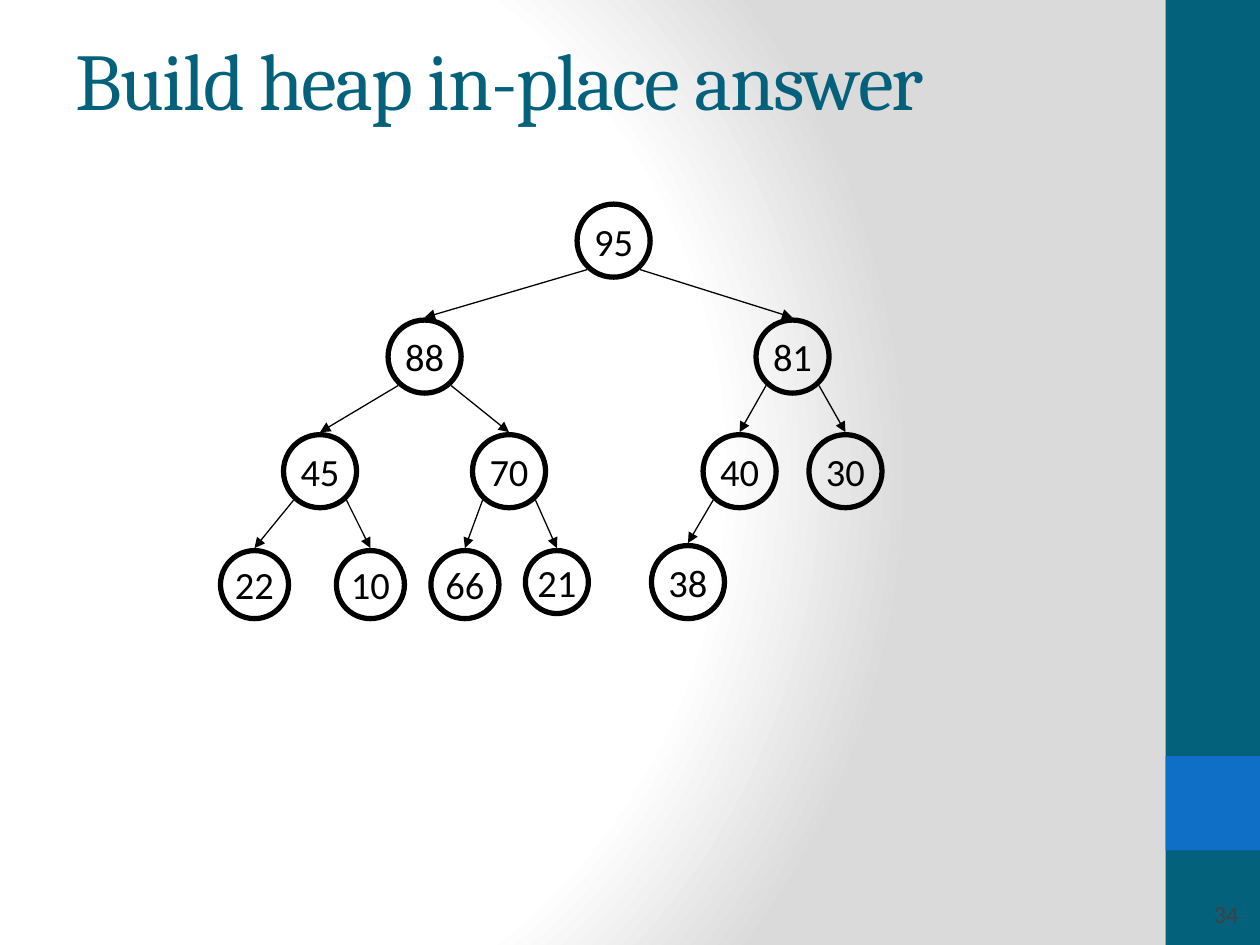
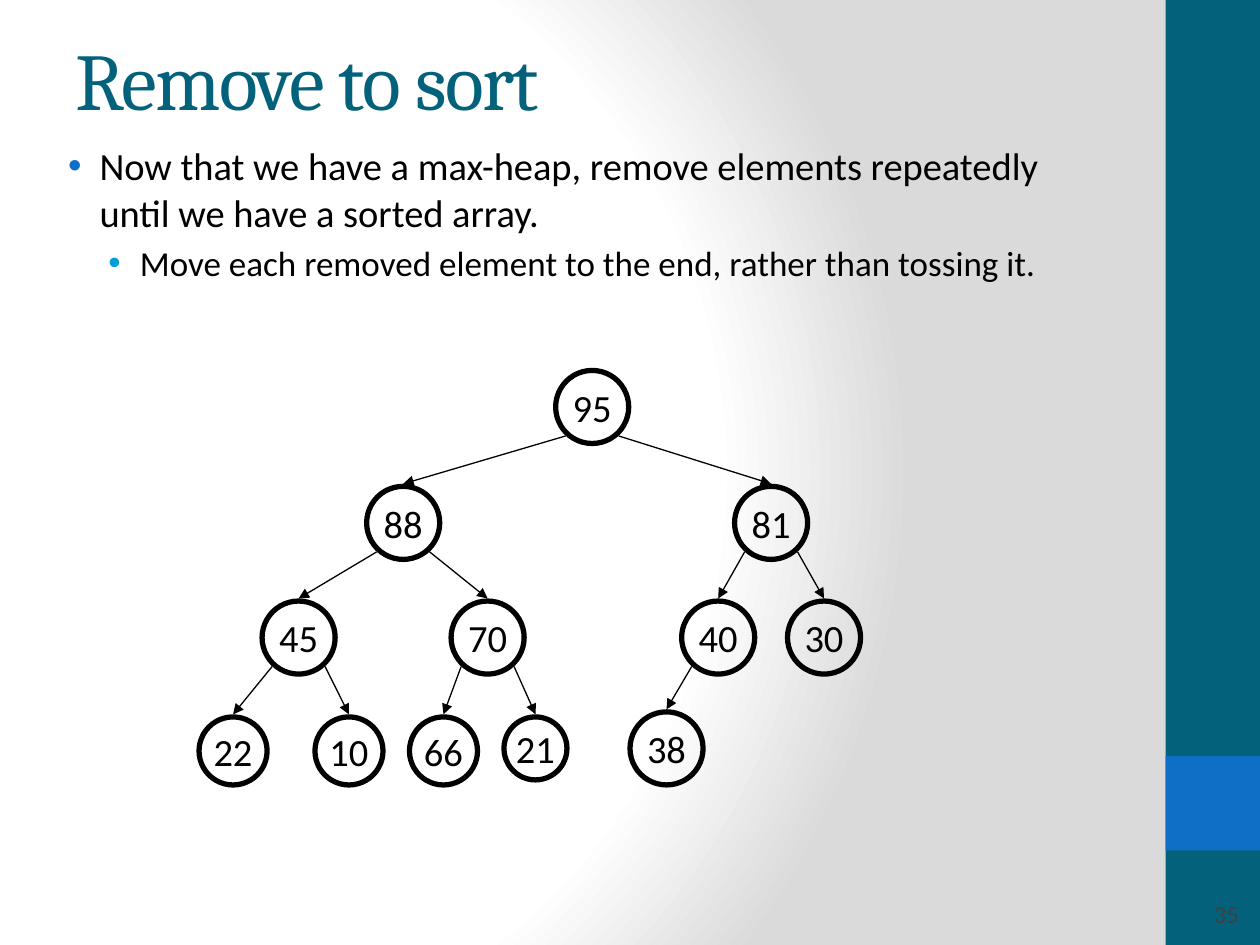
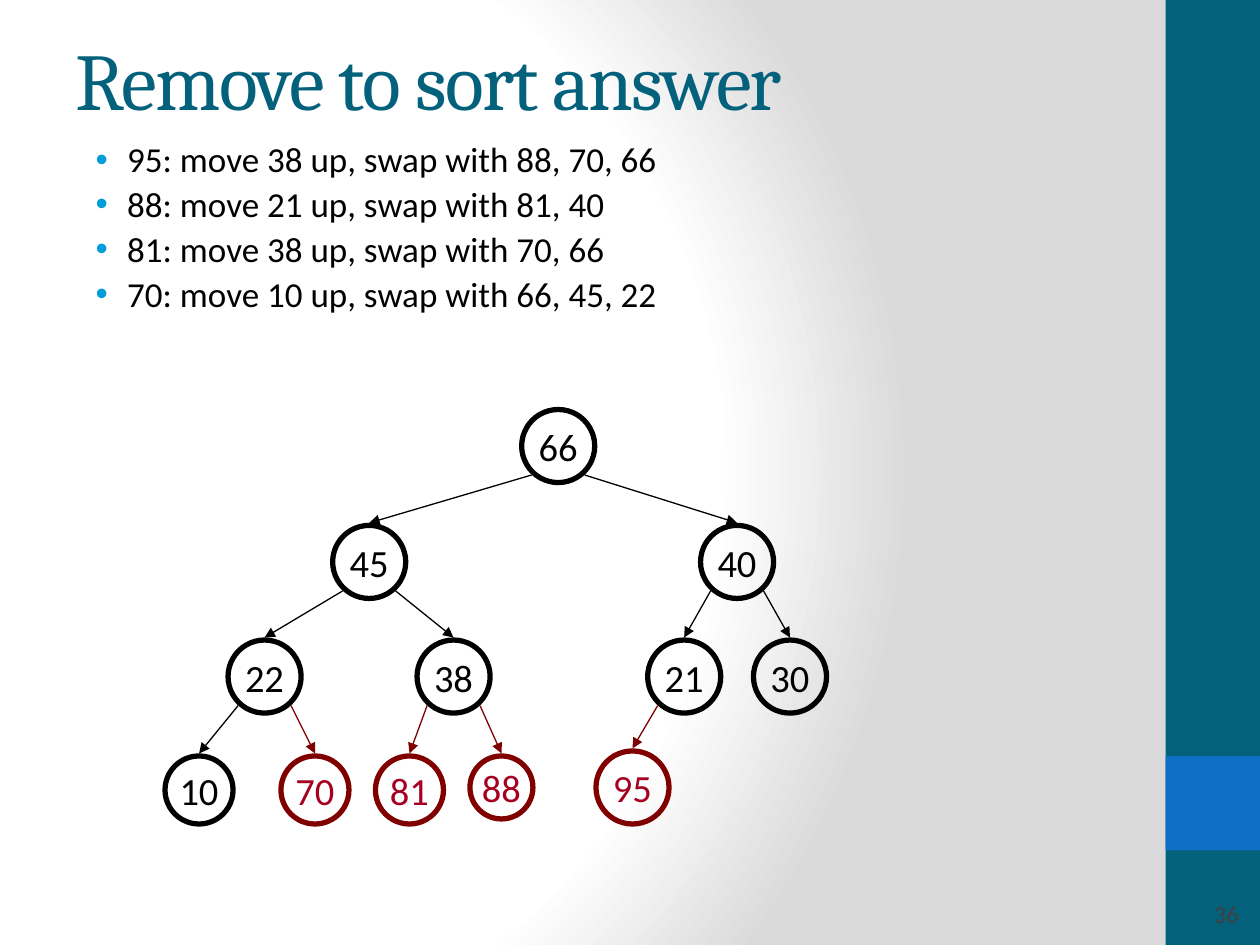
"""Build three heap sort slides, each with a binary max-heap drawn as a tree."""
import pptx
import pptx.dml.color
import pptx.enum.shapes
import pptx.enum.text
import pptx.oxml
import pptx.oxml.ns
import pptx.util

Inches, Pt = pptx.util.Inches, pptx.util.Pt
SHAPE = pptx.enum.shapes.MSO_SHAPE
ANCHOR = pptx.enum.text.MSO_ANCHOR
ALIGN = pptx.enum.text.PP_ALIGN

TEAL, BLUE, CYAN, BLACK, MAROON, RED, GREY = (
    "04617B", "0F6FC6", "009DD9", "000000", "800000", "A50021", "404040")
BANDS = [(0, 7.5, TEAL), (6, 0.75, BLUE)]
STOPS = [(0, "FFFFFF"), (75000, "FFFFFF"), (100000, "DADADA")]
TITLE = dict(name="Cambria", size=Pt(46), bold=False)
NODE = dict(name="Calibri", size=Pt(22))
NUMBER = dict(name="Calibri", size=Pt(14))
LEVELS = [dict(indent=0.38, size=22, bullet=BLUE), dict(indent=0.7, size=20, bullet=CYAN)]

NODE_X = [0, -1.5, 1.42, -2.33, -0.83, 1, 1.84, -2.85, -1.93, -1.18, -0.45, 0.59]
NODE_TOP = [0] + [0.92] * 2 + [1.83] * 4 + [2.75] * 4 + [2.71]
NODE_SIZE = [0.58] * 7 + [0.54] * 3 + [0.5, 0.58]
MAX_HEAP = [95, 88, 81, 45, 70, 40, 30, 22, 10, 66, 21, 38]

SLIDES = [
    dict(number=34, title="Build heap in-place answer", root=(4.87, 1.62),
         heap=MAX_HEAP, removed=0, items=[]),
    dict(number=35, title="Remove to sort", root=(4.7, 2.94),
         heap=MAX_HEAP, removed=0, left=0.31, spacing=1.0, items=[
             (0, "Now that we have a max-heap, remove elements repeatedly "
                 "until we have a sorted array."),
             (1, "Move each removed element to the end, rather than tossing it.")]),
    dict(number=36, title="Remove to sort answer", root=(4.43, 3.25),
         heap=[66, 45, 40, 22, 38, 21, 30, 10, 70, 81, 88, 95], removed=4,
         left=0.21, spacing=0.9, items=[
             (1, "95: move 38 up, swap with 88, 70, 66"),
             (1, "88: move 21 up, swap with 81, 40"),
             (1, "81: move 38 up, swap with 70, 66"),
             (1, "70: move 10 up, swap with 66, 45, 22")]),
]


def rgb(value):
    """Turn a hex string into a colour."""
    return pptx.dml.color.RGBColor.from_string(value)


def add_xml(parent, xml):
    """Append a fragment of drawing XML to an element."""
    head, rest = xml.split(" ", 1)
    parent.append(pptx.oxml.parse_xml(f"{head} {pptx.oxml.ns.nsdecls('a')} {rest}"))


def style(r, color, formats):
    """Apply font values and a colour to a run."""
    for key, value in formats.items():
        setattr(r.font, key, value)
    r.font.color.rgb = rgb(color)


def place(sp, left, top, width, height):
    """Move and size a shape in inches."""
    for key, value in dict(left=left, top=top, width=width, height=height).items():
        setattr(sp, key, Inches(value))


def set_background(master):
    """Give the master its radial gradient."""
    master.background.fill.gradient()
    grad = master.element.find(".//" + pptx.oxml.ns.qn("a:gradFill"))
    for child in list(grad):
        grad.remove(child)
    stops = "".join(f'<a:gs pos="{pos}"><a:srgbClr val="{color}"/></a:gs>'
                    for pos, color in STOPS)
    add_xml(grad, f"<a:gsLst >{stops}</a:gsLst>")
    add_xml(grad, '<a:path path="circle"><a:fillToRect l="20000" t="50000" '
                  'r="100000" b="50000"/></a:path>')


def add_bands(s, master):
    """Draw the side bands and hand them to the master."""
    for i, (top, height, color) in enumerate(BANDS):
        sp = s.shapes.add_shape(SHAPE.RECTANGLE, Inches(9.25), Inches(top),
                                Inches(0.75), Inches(height))
        sp.shadow.inherit = False
        sp.fill.solid()
        sp.fill.fore_color.rgb = rgb(color)
        sp.line.fill.background()
        master.shapes.element.insert(2 + i, sp.element)


def add_title(s, text):
    """Fill the title placeholder."""
    sp = s.shapes.title
    place(sp, 0.5, 0, 8.33, 1.25)
    tf = sp.text_frame
    tf.vertical_anchor = ANCHOR.MIDDLE
    p = tf.paragraphs[0]
    p.alignment = ALIGN.LEFT
    r = p.add_run()
    r.text = text
    style(r, TEAL, TITLE)
    r.font._element.set("spc", "-100")


def add_list(s, items, left, spacing):
    """Fill the body placeholder with bullets."""
    sp = s.placeholders[1]
    place(sp, left, 1.08, 8.33, 5.67)
    tf = sp.text_frame
    for i, (level, text) in enumerate(items):
        p = tf.add_paragraph() if i else tf.paragraphs[0]
        look = LEVELS[level]
        p.level = level
        p.line_spacing = spacing
        ppr = p._p.get_or_add_pPr()
        ppr.set("marL", str(Inches(look["indent"])))
        ppr.set("indent", str(Inches(-0.25)))
        add_xml(ppr, f'<a:buClr ><a:srgbClr val="{look["bullet"]}"/></a:buClr>')
        add_xml(ppr, '<a:buFont typeface="Arial"/>')
        add_xml(ppr, '<a:buChar char="•"/>')
        r = p.add_run()
        r.text = text
        style(r, BLACK, dict(name="Calibri", size=Pt(look["size"])))


def add_node(s, value, x, top, size, line, color):
    """Draw one heap node centred on x."""
    sp = s.shapes.add_shape(SHAPE.OVAL, Inches(x - size / 2), Inches(top),
                            Inches(size), Inches(size))
    sp.shadow.inherit = False
    sp.fill.background()
    sp.line.color.rgb = rgb(line)
    sp.line.width = Pt(3)
    tf = sp.text_frame
    tf.word_wrap = False
    tf.vertical_anchor = ANCHOR.MIDDLE
    p = tf.paragraphs[0]
    p.alignment = ALIGN.CENTER
    r = p.add_run()
    r.text = str(value)
    style(r, color, NODE)


def add_arrow(s, start, end, color):
    """Draw an arrow from a parent node to a child node."""
    line = s.shapes.add_connector(pptx.enum.shapes.MSO_CONNECTOR.STRAIGHT,
                                  *map(Inches, start + end))
    line.line.color.rgb = rgb(color)
    line.line.width = Pt(0.75)
    add_xml(line.line._get_or_add_ln(), '<a:tailEnd type="triangle"/>')
    add_xml(line.element.spPr, "<a:effectLst />")


def add_heap(s, heap, root, removed):
    """Draw the heap array as a tree, the removed tail in red."""
    spots = [(root[0] + dx, root[1] + dy) for dx, dy in zip(NODE_X, NODE_TOP)]
    for i, (value, (x, top), size) in enumerate(zip(heap, spots, NODE_SIZE)):
        line, color = (MAROON, RED) if i >= len(heap) - removed else (BLACK, BLACK)
        add_node(s, value, x, top, size, line, color)
        if i:
            px, ptop = spots[(i - 1) // 2]
            side = -0.21 if i % 2 else 0.21
            add_arrow(s, (px + side, ptop + 0.52), (x, top - 0.02), line)


def add_number(s, number):
    """Write the slide number at the lower right."""
    sp = s.shapes.add_textbox(Inches(9.25), Inches(7.05), Inches(0.68), Inches(0.4))
    tf = sp.text_frame
    tf.word_wrap = True
    tf.vertical_anchor = ANCHOR.MIDDLE
    p = tf.paragraphs[0]
    p.alignment = ALIGN.RIGHT
    r = p.add_run()
    r.text = str(number)
    style(r, GREY, NUMBER)


def main():
    """Build and save the slides."""
    prs = pptx.Presentation()
    prs.slide_width, prs.slide_height = Inches(10), Inches(7.5)
    set_background(prs.slide_master)
    for i, data in enumerate(SLIDES):
        s = prs.slides.add_slide(prs.slide_layouts[1 if data["items"] else 5])
        if i == 0:
            add_bands(s, prs.slide_master)
        add_title(s, data["title"])
        if data["items"]:
            add_list(s, data["items"], data["left"], data["spacing"])
        add_heap(s, data["heap"], data["root"], data["removed"])
        add_number(s, data["number"])
    prs.save("out.pptx")


if __name__ == "__main__":
    main()
